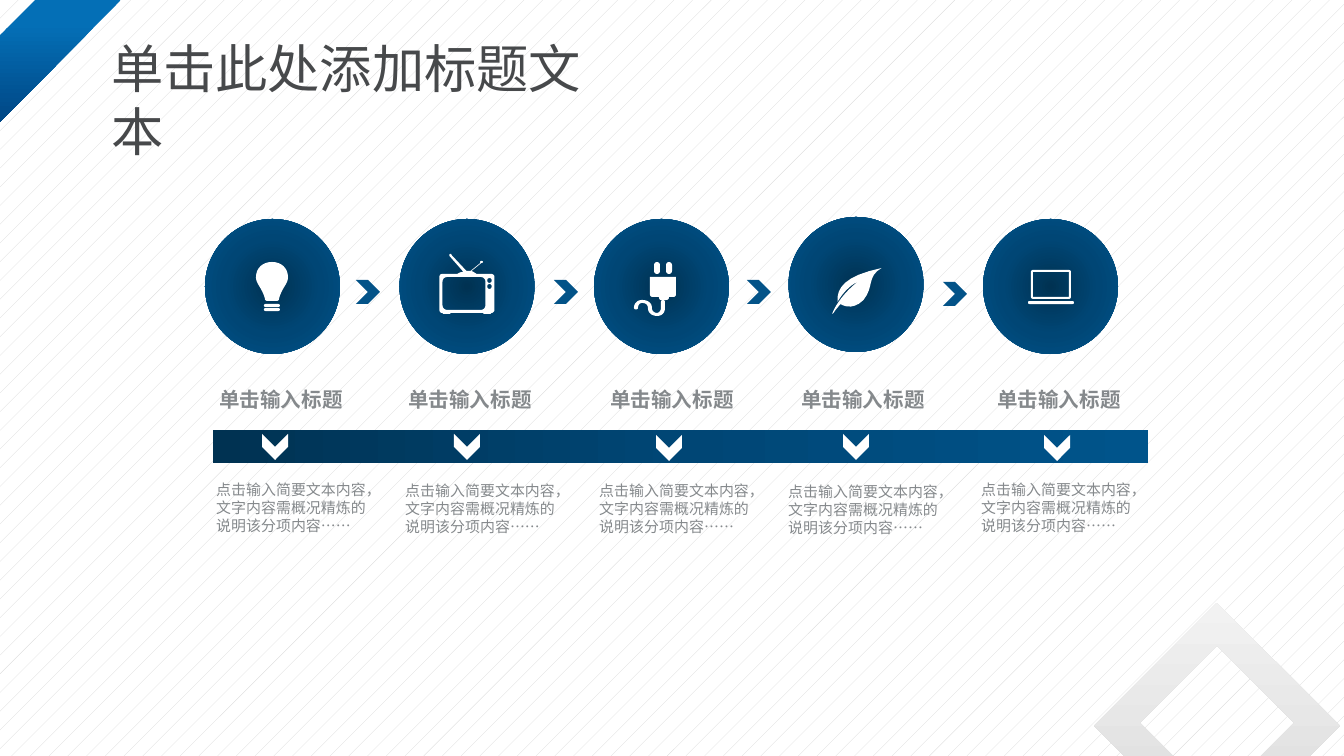
import pptx
import pptx.util
from lxml import etree
from pptx.dml.color import RGBColor
from pptx.enum.dml import MSO_PATTERN
from pptx.enum.shapes import MSO_SHAPE
from pptx.enum.text import MSO_AUTO_SIZE
from pptx.oxml.ns import qn

PX = 914400 / 134.4
COLORS = {
    "white": "FFFFFF", "title": "47494B", "text": "85898C", "arrow": "035388",
    "navy": "003252", "blue": "004675", "bright": "00548B",
    "stripe_top": "046FB6", "stripe_end": "004785",
    "gray": "D9D9D9", "pale": "F2F2F2",
}
BLUES = [(0, "navy"), (50, "blue"), (100, "bright")]

TITLE = "单击此处添加标题文本"
HEADING = "单击输入标题"
BODY = "点击输入简要文本内容，文字内容需概况精炼的说明该分项内容……"

# Icon parts around the disc centre: an outline, or a rounded bar (x, y, w, h)
BULB = [
    "M 15 -10 C 15 -19 8 -25 -1 -25 C -10 -25 -17 -19 -17 -10 C -17 -7 -16 -5 -15 -3 "
    "C -12 2 -9 7 -8 12 C -8 13 -7 14 -6 14 L 4 14 C 5 14 6 13 6 12 "
    "C 7 7 10 2 13 -3 C 14 -5 15 -7 15 -10 Z",
    (-9, 17, 16, 3), (-9, 21, 16, 3),
]
TV = [
    "M 24 -13 L 9 -13 C 8 -14 6 -15 4 -16 L 14 -24 C 16 -24 16 -26 14 -26 "
    "C 13 -26 12 -25 13 -24 L 3 -16 L -1 -16 L -16 -32 C -16 -34 -19 -33 -18 -31 "
    "L -4 -15 C -7 -15 -9 -14 -10 -13 L -25 -13 C -27 -13 -28 -12 -28 -10 L -28 23 "
    "C -28 25 -27 26 -25 26 L -24 27 L -17 27 L -17 26 L 16 26 L 16 27 L 23 27 "
    "L 24 26 C 25 26 27 25 27 23 L 27 -10 C 27 -12 25 -13 24 -13 Z "
    "M 18 18 C 18 21 16 23 13 23 L -20 23 C -23 23 -25 21 -25 18 L -25 -5 "
    "C -25 -8 -23 -10 -20 -10 L 13 -10 C 16 -10 18 -8 18 -5 Z "
    "M 22 2 C 19 2 19 -3 22 -3 C 25 -3 25 2 22 2 Z "
    "M 22 -4 C 19 -4 19 -9 22 -9 C 25 -9 25 -4 22 -4 Z",
]
PLUG = [
    (-8, -25, 6, 12), (4, -25, 6, 12),
    "M -12 -10 L 14 -10 L 14 7 C 14 9 13 10 11 10 L 7 10 C 7 12 6 13 4 13 "
    "L -1 13 C -2 13 -3 12 -3 10 L -9 10 C -11 10 -12 9 -12 7 Z",
    "M 1 13 C 0 13 -1 14 -1 15 L -1 21 C -1 24 -3 26 -5 26 C -8 26 -10 24 -10 21 "
    "C -10 16 -14 13 -20 13 C -24 13 -28 16 -28 21 C -28 23 -24 23 -24 21 "
    "C -24 18 -22 16 -20 16 C -16 16 -14 18 -14 21 C -14 26 -10 29 -5 29 "
    "C 0 29 3 26 3 21 L 3 15 C 3 14 2 13 1 13 Z",
]
LEAF = [
    "M -24 28 C -24 28 -25 30 -23 28 C -22 26 -16 19 -16 19 C -16 19 -5 27 7 15 "
    "C 18 1 10 -8 25 -17 C -12 -9 -20 3 -19 17 C -16 11 -7 0 1 -3 "
    "C -12 7 -21 20 -24 28 Z",
]
LAPTOP = [
    (-23, 14, 46, 3),
    "M 18 -17 L -18 -17 C -19 -17 -20 -16 -20 -15 L -20 10 C -20 11 -19 12 -18 12 "
    "L 18 12 C 19 12 20 11 20 10 L 20 -15 C 20 -16 19 -17 18 -17 Z "
    "M 18 10 L -18 10 L -18 -15 L 18 -15 Z",
]

# icon, disc top, heading left, body (left, top), bar mark (left, top)
STEPS = [
    (BULB, 219, 206, (203, 474), (262, 434)),
    (TV, 219, 395, (392, 475), (454, 434)),
    (PLUG, 219, 597, (586, 475), (656, 435)),
    (LEAF, 217, 788, (775, 476), (843, 434)),
    (LAPTOP, 219, 984, (968, 474), (1044, 435)),
]
ARROWS = [(356, 280), (554, 280), (747, 280), (943, 282)]
DISC_LEFT, DISC_STEP, DISC = 205, 194.5, 135
DIAMOND = "M 0 -123 L 123 0 L 0 123 L -123 0 Z M 0 -80 L -77 -3 L 0 74 L 77 -3 Z"


def px(n):
    return round(n * PX)


def rgb(name):
    return RGBColor.from_string(COLORS[name])


def paint(sp, fill, angle=None):
    """Fill with a colour name or with gradient stops; no angle means radial."""
    sp.shadow.inherit = False
    sp.line.fill.background()
    if isinstance(fill, str):
        sp.fill.solid()
        sp.fill.fore_color.rgb = rgb(fill)
        return
    sp.fill.background()
    grad = etree.Element(qn("a:gradFill"), rotWithShape="1")
    stops = etree.SubElement(grad, qn("a:gsLst"))
    for pos, name in fill:
        gs = etree.SubElement(stops, qn("a:gs"), pos=str(pos * 1000))
        etree.SubElement(gs, qn("a:srgbClr"), val=COLORS[name])
    if angle is None:
        radial = etree.SubElement(grad, qn("a:path"), {"path": "circle"})
        etree.SubElement(radial, qn("a:fillToRect"), dict.fromkeys("ltrb", "50000"))
    else:
        etree.SubElement(grad, qn("a:lin"), ang=str(angle * 60000), scaled="0")
    old = sp._element.spPr.find(qn("a:noFill"))
    old.getparent().replace(old, grad)


def add_preset(kind, x, y, w, h, fill, angle=None, rotation=0, adj=None):
    sp = slide.shapes.add_shape(kind, px(x), px(y), px(w), px(h))
    if adj is not None:
        sp.adjustments[0] = adj
    sp.rotation = rotation
    paint(sp, fill, angle)


def contours(outline):
    """Turn M/L/C/Z commands into lists of points, sampling the curves."""
    result = []
    for contour in outline.replace("Z", "").split("M")[1:]:
        points = []
        for part in contour.replace("L", "|L").replace("C", "|C").split("|"):
            nums = [int(n) for n in part.strip("LC ").split()]
            pairs = list(zip(nums[::2], nums[1::2]))
            if part.startswith("C"):
                curve = [points[-1]] + pairs
                for t in (k / 8 for k in range(1, 9)):
                    weights = ((1 - t) ** 3, 3 * t * (1 - t) ** 2, 3 * t * t * (1 - t), t ** 3)
                    points.append(tuple(sum(w * p[axis] for w, p in zip(weights, curve))
                                        for axis in (0, 1)))
            else:
                points += pairs
        result.append(points)
    return result


def add_outline(outline, cx, cy, fill, angle=None):
    fine = 100  # the builder rounds to whole units
    builder = None
    for points in contours(outline):
        points = [(x * fine, y * fine) for x, y in points]
        if builder is None:
            builder = slide.shapes.build_freeform(*points[0], scale=PX / fine)
        else:
            builder.move_to(*points[0])
        builder.add_line_segments(points[1:], close=True)
    paint(builder.convert_to_shape(px(cx), px(cy)), fill, angle)


def add_text(text, x, y, w, h, size, color="text", font="Arial", bold=False):
    tf = slide.shapes.add_textbox(px(x), px(y), px(w), px(h)).text_frame
    tf.word_wrap = True
    tf.auto_size = MSO_AUTO_SIZE.SHAPE_TO_FIT_TEXT
    r = tf.paragraphs[0].add_run()
    r.text = text
    r.font.size, r.font.name, r.font.bold = pptx.util.Pt(size), font, bold
    r.font.color.rgb = rgb(color)


prs = pptx.Presentation()
prs.slide_width, prs.slide_height = px(1344), px(756)
slide = prs.slides.add_slide(prs.slide_layouts[6])
bg = slide.background.fill
bg.patterned()
bg.pattern = MSO_PATTERN.PERCENT_5
bg.fore_color.rgb, bg.back_color.rgb = rgb("gray"), rgb("white")

add_outline(DIAMOND, 1217, 726, [(0, "gray"), (100, "pale")], angle=270)
add_preset(MSO_SHAPE.DIAGONAL_STRIPE, 0, 0, 121, 122,
           [(20, "stripe_top"), (100, "stripe_end")], angle=90, adj=0.29)
add_preset(MSO_SHAPE.RECTANGLE, 213, 430, 935, 33, BLUES, angle=0)

for i, (icon, top, heading_left, body_at, mark_at) in enumerate(STEPS):
    left = DISC_LEFT + i * DISC_STEP
    add_preset(MSO_SHAPE.OVAL, left, top, DISC, DISC, BLUES)
    cx, cy = left + DISC // 2 + 1, top + DISC // 2 + 1
    for part in icon:
        if isinstance(part, str):
            add_outline(part, cx, cy, "white")
        else:
            x, y, w, h = part
            add_preset(MSO_SHAPE.ROUNDED_RECTANGLE, cx + x, cy + y, w, h, "white", adj=0.5)
    add_text(HEADING, heading_left, 380, 196, 39, 11, bold=True)
    add_text(BODY, *body_at, 185, 67, 8)
    add_preset(MSO_SHAPE.CHEVRON, *mark_at, 26, 26, "white", rotation=90)

for at in ARROWS:
    add_preset(MSO_SHAPE.CHEVRON, *at, 24, 24, "arrow")

add_text(TITLE, 98, 30, 546, 77, 28, color="title", font="Noto Sans CJK JP")
prs.save("out.pptx")
